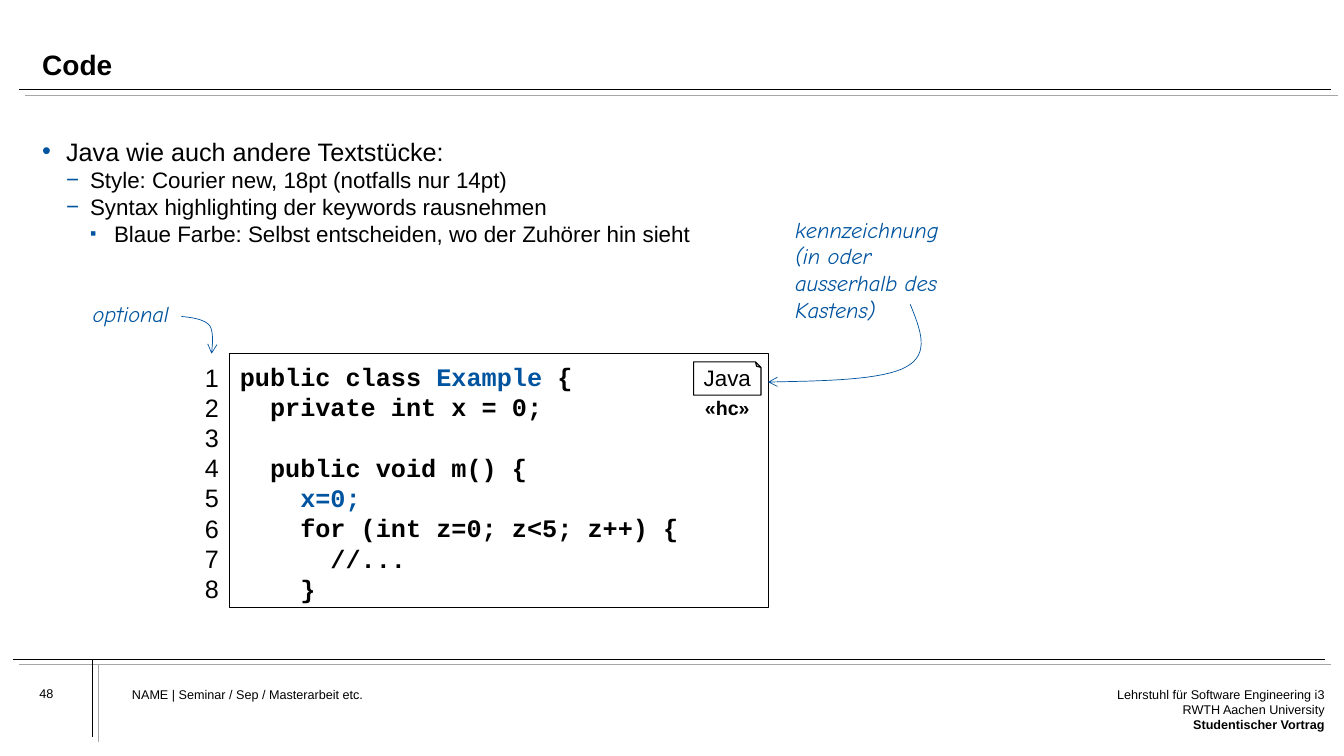
"""Build the slide on how to present source code."""
from dataclasses import dataclass
from typing import NamedTuple

from lxml.etree import SubElement
from pptx import Presentation
from pptx.dml.color import RGBColor
from pptx.enum.shapes import MSO_CONNECTOR, MSO_SHAPE
from pptx.enum.text import MSO_ANCHOR, PP_ALIGN
from pptx.oxml.ns import qn
from pptx.util import Pt

BLACK = RGBColor(0x00, 0x00, 0x00)
WHITE = RGBColor(0xFF, 0xFF, 0xFF)
BLUE = RGBColor(0x00, 0x54, 0x9F)
GRAY = RGBColor(0xA6, 0xA6, 0xA6)
SANS, HAND, MONO = "Arial", "Comic Neue", "Courier New"
LEADING = 1.2
CODE_SIZE = 18
CODE_INDENT = 21.6
BULLET_INDENT = 17.1
CURVE_STEPS = 16


class Box(NamedTuple):
    x: float
    y: float
    w: float
    h: float


class Rule(NamedTuple):
    x1: float
    y1: float
    x2: float
    y2: float


class Bullet(NamedTuple):
    level: int
    char: str
    size: float
    text: str
    scale: int = 100


class CodeLine(NamedTuple):
    indent: int
    runs: list[tuple[str, RGBColor]]
    blank_before: int = 0


@dataclass
class Label:
    box: Box
    lines: list[str]
    size: float
    font: str = SANS
    color: RGBColor = BLACK
    bold: bool = False
    italic: bool = False
    align: PP_ALIGN = PP_ALIGN.LEFT
    margin: tuple[float, float] = (7.2, 3.6)
    wrap: bool = True


RULES = [
    Rule(13.7, 64.1, 951.1, 64.1),
    Rule(9.4, 470.9, 946.1, 470.9),
    Rule(66.2, 470.9, 66.2, 526.3),
]
BULLETS = [
    Bullet(1, "•", 18, "Java wie auch andere Textstücke:"),
    Bullet(2, "−", 16, "Style: Courier new, 18pt (notfalls nur 14pt)"),
    Bullet(2, "−", 16, "Syntax highlighting der keywords rausnehmen"),
    Bullet(3, "▪", 16, "Blaue Farbe: Selbst entscheiden, wo der Zuhörer hin sieht", 80),
]
CODE = [
    CodeLine(0, [("public class ", BLACK), ("Example", BLUE), (" {", BLACK)]),
    CodeLine(1, [("private int x = 0;", BLACK)]),
    CodeLine(1, [("public void m() {", BLACK)], blank_before=1),
    CodeLine(2, [("x=0;", BLUE)]),
    CodeLine(2, [("for (int z=0; z<5; z++) {", BLACK)]),
    CodeLine(3, [("//...", BLACK)]),
    CodeLine(2, [("}", BLACK)]),
]
FOOTER = Label(Box(791.3, 490.3, 154.8, 49.7),
               ["Lehrstuhl für Software Engineering i3",
                "RWTH Aachen University", "Studentischer Vortrag"],
               9, align=PP_ALIGN.RIGHT, margin=(0, 0))
LABELS = [
    Label(Box(94.3, 490.3, 551.5, 49.7), ["NAME | Seminar / Sep / Masterarbeit etc."],
          9, margin=(0, 0)),
    Label(Box(28.1, 490.3, 57.6, 31), ["48"], 9, margin=(0, 0)),
    Label(Box(123.8, 254.9, 39.6, 181.4), [str(n) for n in range(1, 9)],
          CODE_SIZE, align=PP_ALIGN.RIGHT),
    Label(Box(496.1, 279.4, 46.8, 24.5), ["«hc»"], 14, bold=True,
          align=PP_ALIGN.CENTER, wrap=False),
    Label(Box(59, 211, 73.4, 26.6), ["optional"], 16, HAND, BLUE, italic=True),
    Label(Box(560.9, 150.5, 126, 85),
          ["kennzeichnung", "(in oder", "ausserhalb des", "Kastens)"],
          16, HAND, BLUE, italic=True),
]
CURVES = [
    [(129.6, 226.1), (137.5, 226.8), (146.2, 228.2), (149.8, 232.6),
     (152.6, 236.9), (151.9, 244.8), (151.2, 252.7)],
    [(650.2, 217.4), (657.4, 235.4), (664.6, 252.7), (647.3, 262.1),
     (630.7, 271.4), (589.7, 272.2), (548.6, 272.9)],
]


def style_run(r, size: float, font: str, color: RGBColor, bold=False, italic=False) -> None:
    r.font.size, r.font.name = Pt(size), font
    r.font.bold, r.font.italic = bold, italic
    r.font.color.rgb = color


def add_text_frame(s, box: Box, margin: tuple[float, float], wrap: bool = True):
    sp = s.shapes.add_textbox(*map(Pt, box))
    tf = sp.text_frame
    tf.word_wrap = wrap
    tf.margin_left = tf.margin_right = Pt(margin[0])
    tf.margin_top = tf.margin_bottom = Pt(margin[1])
    return tf


def add_label(s, label: Label):
    tf = add_text_frame(s, label.box, label.margin, label.wrap)
    for i, line in enumerate(label.lines):
        p = tf.add_paragraph() if i else tf.paragraphs[0]
        p.text, p.alignment = line, label.align
        p.line_spacing = Pt(label.size * LEADING)
        for r in p.runs:
            style_run(r, label.size, label.font, label.color, label.bold, label.italic)
    return tf


def add_rule(s, rule: Rule, color: RGBColor, dx: float = 0, dy: float = 0) -> None:
    c = s.shapes.add_connector(MSO_CONNECTOR.STRAIGHT, Pt(rule.x1 + dx), Pt(rule.y1 + dy),
                               Pt(rule.x2 + dx), Pt(rule.y2 + dy))
    c.line.color.rgb, c.line.width = color, Pt(0.5)
    SubElement(c._element.spPr, qn("a:effectLst"))


def add_bullets(s) -> None:
    tf = add_text_frame(s, Box(30.2, 97.2, 904.3, 345.6), (0, 0))
    for i, b in enumerate(BULLETS):
        p = tf.add_paragraph() if i else tf.paragraphs[0]
        p.text, p.level = b.text, b.level - 1
        p.line_spacing = Pt(b.size * LEADING)
        style_run(p.runs[0], b.size, SANS, BLACK)
        pPr = p._p.get_or_add_pPr()
        pPr.set("marL", str(Pt(BULLET_INDENT * b.level)))
        pPr.set("indent", str(-Pt(BULLET_INDENT)))
        SubElement(SubElement(pPr, qn("a:buClr")), qn("a:srgbClr")).set("val", str(BLUE))
        SubElement(pPr, qn("a:buSzPct")).set("val", str(b.scale * 1000))
        SubElement(pPr, qn("a:buFont")).set("typeface", SANS)
        SubElement(pPr, qn("a:buChar")).set("char", b.char)


def add_outlined(s, kind: MSO_SHAPE, box: Box):
    sp = s.shapes.add_shape(kind, *map(Pt, box))
    sp.shadow.inherit = False
    sp.line.color.rgb, sp.line.width = BLACK, Pt(0.75)
    return sp


def add_code(s) -> None:
    sp = add_outlined(s, MSO_SHAPE.RECTANGLE, Box(164.2, 252.7, 384.5, 181.4))
    sp.fill.background()
    tf = sp.text_frame
    tf.word_wrap, tf.vertical_anchor, tf.margin_top = True, MSO_ANCHOR.TOP, Pt(5.5)
    for i, line in enumerate(CODE):
        p = tf.add_paragraph() if i else tf.paragraphs[0]
        p.alignment = PP_ALIGN.LEFT
        p.line_spacing = Pt(CODE_SIZE * LEADING)
        p.space_before = Pt(CODE_SIZE * LEADING * line.blank_before)
        p._p.get_or_add_pPr().set("marL", str(Pt(CODE_INDENT * line.indent)))
        for text, color in line.runs:
            r = p.add_run()
            r.text = text
            style_run(r, CODE_SIZE, MONO, color, bold=True)


def add_language_tag(s) -> None:
    sp = add_outlined(s, MSO_SHAPE.FOLDED_CORNER, Box(495.4, 258.5, 48.2, 23.8))
    if len(sp.adjustments):
        sp.adjustments[0] = 0.28
    sp.fill.solid()
    sp.fill.fore_color.rgb = WHITE
    sp._element.spPr.xfrm.set("flipV", "1")
    tf = sp.text_frame
    tf.text, tf.word_wrap, tf.vertical_anchor = "Java", False, MSO_ANCHOR.MIDDLE
    tf._txBody.bodyPr.set("rot", "10800000")
    p = tf.paragraphs[0]
    p.alignment, p.line_spacing = PP_ALIGN.CENTER, 0.7
    style_run(p.runs[0], 16, SANS, BLACK)


def add_curved_arrow(s, points: list[tuple[float, float]]) -> None:
    curve = []
    for i in range(0, len(points) - 1, 3):
        for step in range(1, CURVE_STEPS + 1):
            t = step / CURVE_STEPS
            weights = ((1 - t) ** 3, 3 * t * (1 - t) ** 2, 3 * t * t * (1 - t), t ** 3)
            curve.append(tuple(Pt(sum(w * v for w, v in zip(weights, axis)))
                               for axis in zip(*points[i:i + 4])))
    builder = s.shapes.build_freeform(*map(Pt, points[0]))
    builder.add_line_segments(curve, close=False)
    sp = builder.convert_to_shape()
    sp.shadow.inherit = False
    sp.fill.background()
    sp.line.color.rgb, sp.line.width = BLUE, Pt(0.5)
    SubElement(sp.line._get_or_add_ln(), qn("a:tailEnd")).set("type", "arrow")


def main() -> None:
    prs = Presentation()
    prs.slide_width, prs.slide_height = Pt(960), Pt(540)
    s = prs.slides.add_slide(prs.slide_layouts[6])
    for rule in RULES:
        add_rule(s, rule, BLACK)
        add_rule(s, rule, GRAY, 4.3, 3.7)
    tf = add_label(s, Label(Box(30.2, 15.8, 904.3, 42.5), ["Code"], 20, bold=True, margin=(0, 0)))
    tf.vertical_anchor, tf.paragraphs[0].line_spacing = MSO_ANCHOR.BOTTOM, 0.9
    add_bullets(s)
    add_code(s)
    add_language_tag(s)
    for label in LABELS:
        add_label(s, label)
    add_label(s, FOOTER).paragraphs[-1].runs[0].font.bold = True
    for points in CURVES:
        add_curved_arrow(s, points)
    prs.save("out.pptx")


if __name__ == "__main__":
    main()
